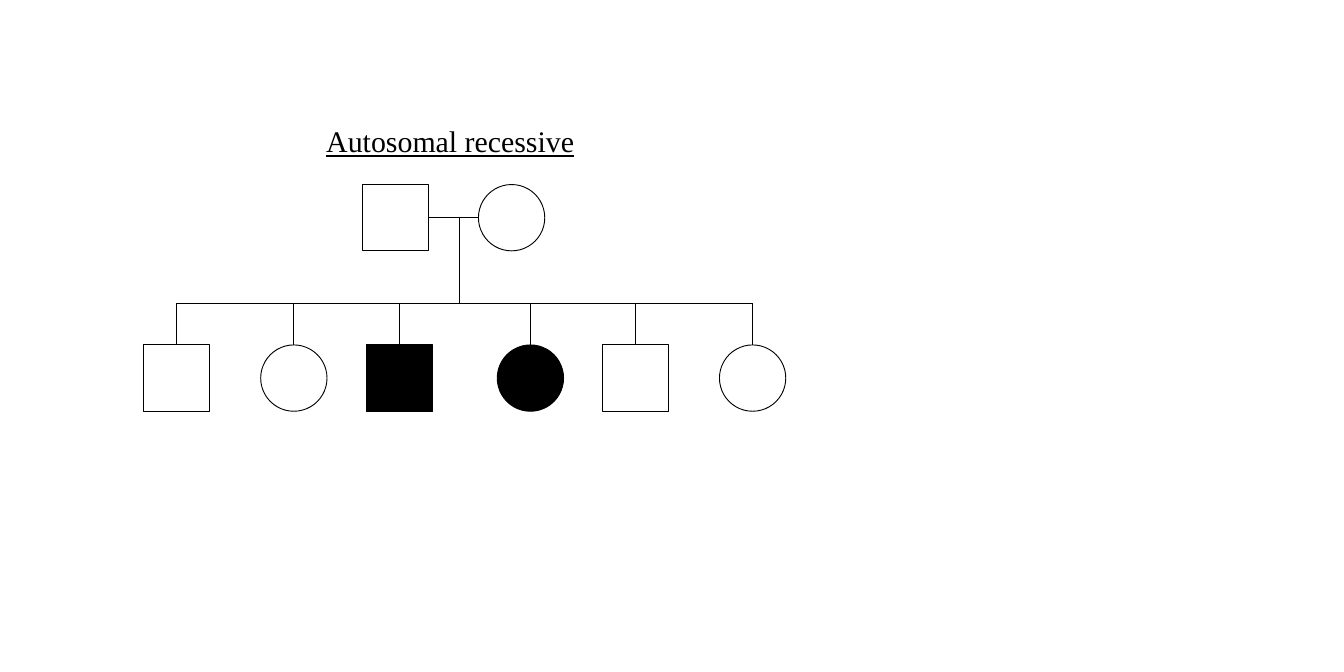
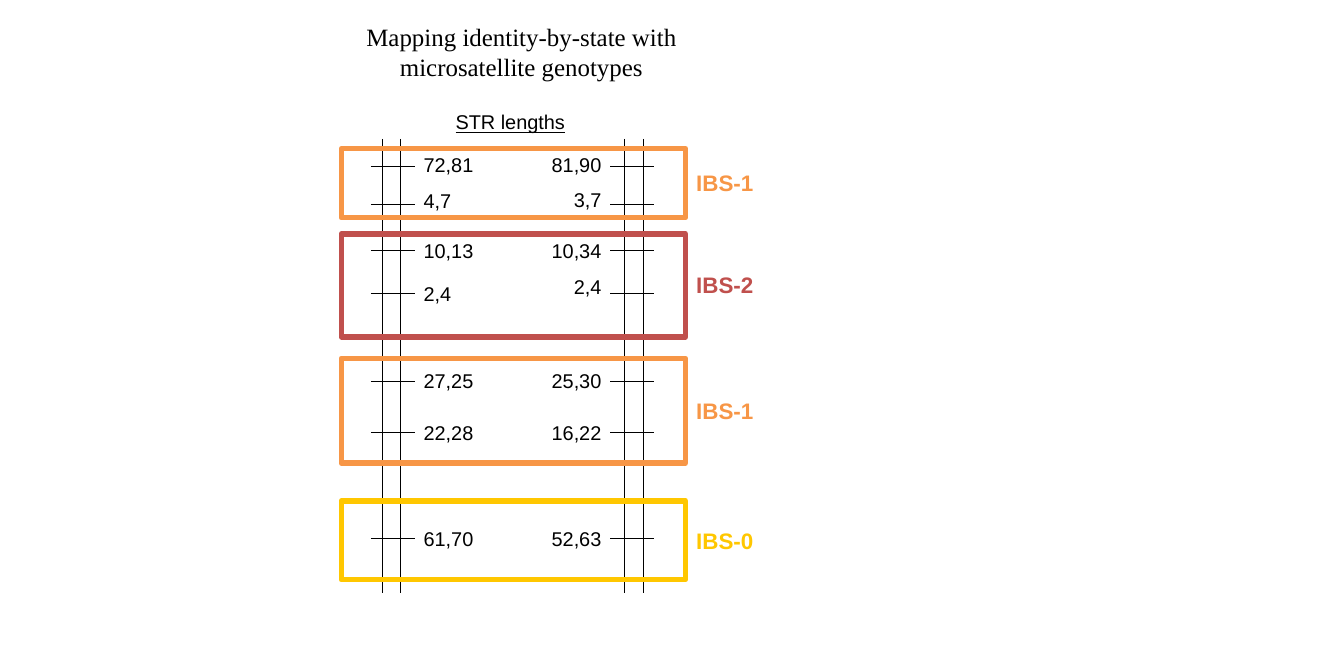
from pptx import Presentation
from pptx.dml.color import RGBColor
from pptx.enum.shapes import MSO_CONNECTOR, MSO_SHAPE
from pptx.enum.text import MSO_AUTO_SIZE, PP_ALIGN
from pptx.oxml.ns import qn
from pptx.util import Pt
from lxml import etree

PX = 9144
BLACK = RGBColor(0x00, 0x00, 0x00)
WHITE = RGBColor(0xFF, 0xFF, 0xFF)
ORANGE = RGBColor(0xF7, 0x96, 0x46)
RED = RGBColor(0xC0, 0x50, 0x4D)
YELLOW = RGBColor(0xFF, 0xC7, 0x00)
SERIF = "Times New Roman"
SANS = "Arial"
LEFT, CENTER, RIGHT = PP_ALIGN.LEFT, PP_ALIGN.CENTER, PP_ALIGN.RIGHT
FIT = MSO_AUTO_SIZE.SHAPE_TO_FIT_TEXT
STRAIGHT = MSO_CONNECTOR.STRAIGHT
SQUARE, CIRCLE = MSO_SHAPE.RECTANGLE, MSO_SHAPE.OVAL


def add_line(s, x1, y1, x2, y2):
    ln = s.shapes.add_connector(STRAIGHT, x1 * PX, y1 * PX, x2 * PX, y2 * PX)
    ln.line.color.rgb = BLACK
    ln.line.width = Pt(1)
    etree.SubElement(ln._element.spPr, qn("a:effectLst"))
    return ln


def add_text(s, x, y, w, h, text, size, font=SANS, color=BLACK,
             align=CENTER, bold=False, underline=False):
    tf = s.shapes.add_textbox(x * PX, y * PX, w * PX, h * PX).text_frame
    tf.word_wrap = True
    tf.auto_size = FIT
    p = tf.paragraphs[0]
    p.alignment = align
    r = p.add_run()
    r.text = text
    r.font.name = font
    r.font.size = Pt(size)
    r.font.color.rgb = color
    r.font.bold = bold
    r.font.underline = underline


prs = Presentation()
prs.slide_width = 1500 * PX
prs.slide_height = 750 * PX
blank = prs.slide_layouts[6]

s = prs.slides.add_slide(blank)
add_text(s, 251, 132, 503, 50, "Autosomal recessive", 24, SERIF, underline=True)

SIZE = 74
PARENT_TOP, CHILD_TOP = 206, 385
MATING_Y, SIBLING_Y = PARENT_TOP + SIZE // 2, 339
family = [
    (441, PARENT_TOP, SQUARE, WHITE),
    (571, PARENT_TOP, CIRCLE, WHITE),
    (197, CHILD_TOP, SQUARE, WHITE),
    (328, CHILD_TOP, CIRCLE, WHITE),
    (446, CHILD_TOP, SQUARE, BLACK),
    (592, CHILD_TOP, CIRCLE, BLACK),
    (709, CHILD_TOP, SQUARE, WHITE),
    (840, CHILD_TOP, CIRCLE, WHITE),
]
people = []
for x, top, kind, fill in family:
    sp = s.shapes.add_shape(kind, (x - SIZE // 2) * PX, top * PX, SIZE * PX, SIZE * PX)
    sp.shadow.inherit = False
    sp.fill.solid()
    sp.fill.fore_color.rgb = fill
    sp.line.color.rgb = BLACK
    sp.line.width = Pt(0.75)
    people.append(sp)

mating = add_line(s, 478, MATING_Y, 534, MATING_Y)
mating.begin_connect(people[0], 3)
add_line(s, 513, MATING_Y, 513, SIBLING_Y)
add_line(s, family[2][0], SIBLING_Y, family[-1][0], SIBLING_Y)
for (x, top, kind, fill), child in zip(family[2:], people[2:]):
    drop = add_line(s, x, SIBLING_Y, x, top)
    drop.end_connect(child, 0)

s = prs.slides.add_slide(blank)
add_text(s, 346, 19, 472, 77,
         "Mapping identity-by-state with microsatellite genotypes", 20, SERIF)
add_text(s, 484, 118, 171, 37, "STR lengths", 16, underline=True)

for x in (427, 447, 697, 718):
    add_line(s, x, 155, x, 662)

markers = [
    (186, 166, "72,81", 166, "81,90"),
    (228, 206, "4,7", 205, "3,7"),
    (280, 261, "10,13", 261, "10,34"),
    (328, 309, "2,4", 302, "2,4"),
    (426, 407, "27,25", 407, "25,30"),
    (483, 464, "22,28", 464, "16,22"),
    (601, 583, "61,70", 583, "52,63"),
]
for y, left_top, left_text, right_top, right_text in markers:
    for x in (414, 681):
        add_line(s, x, y, x + 49, y)
    add_text(s, 463, left_top, 85, 37, left_text, 16, align=LEFT)
    add_text(s, 596, right_top, 85, 37, right_text, 16, align=RIGHT)

regions = [
    (166, 77, "IBS-1", ORANGE),
    (261, 115, "IBS-2", RED),
    (400, 117, "IBS-1", ORANGE),
    (559, 88, "IBS-0", YELLOW),
]
for top, height, label, color in regions:
    sp = s.shapes.add_shape(SQUARE, 381 * PX, top * PX, 384 * PX, height * PX)
    sp.shadow.inherit = False
    sp.fill.background()
    sp.line.color.rgb = color
    sp.line.width = Pt(4.5)
    add_text(s, 766, top + (height - 40) // 2, 86, 40, label, 18, color=color, bold=True)

prs.save("out.pptx")
